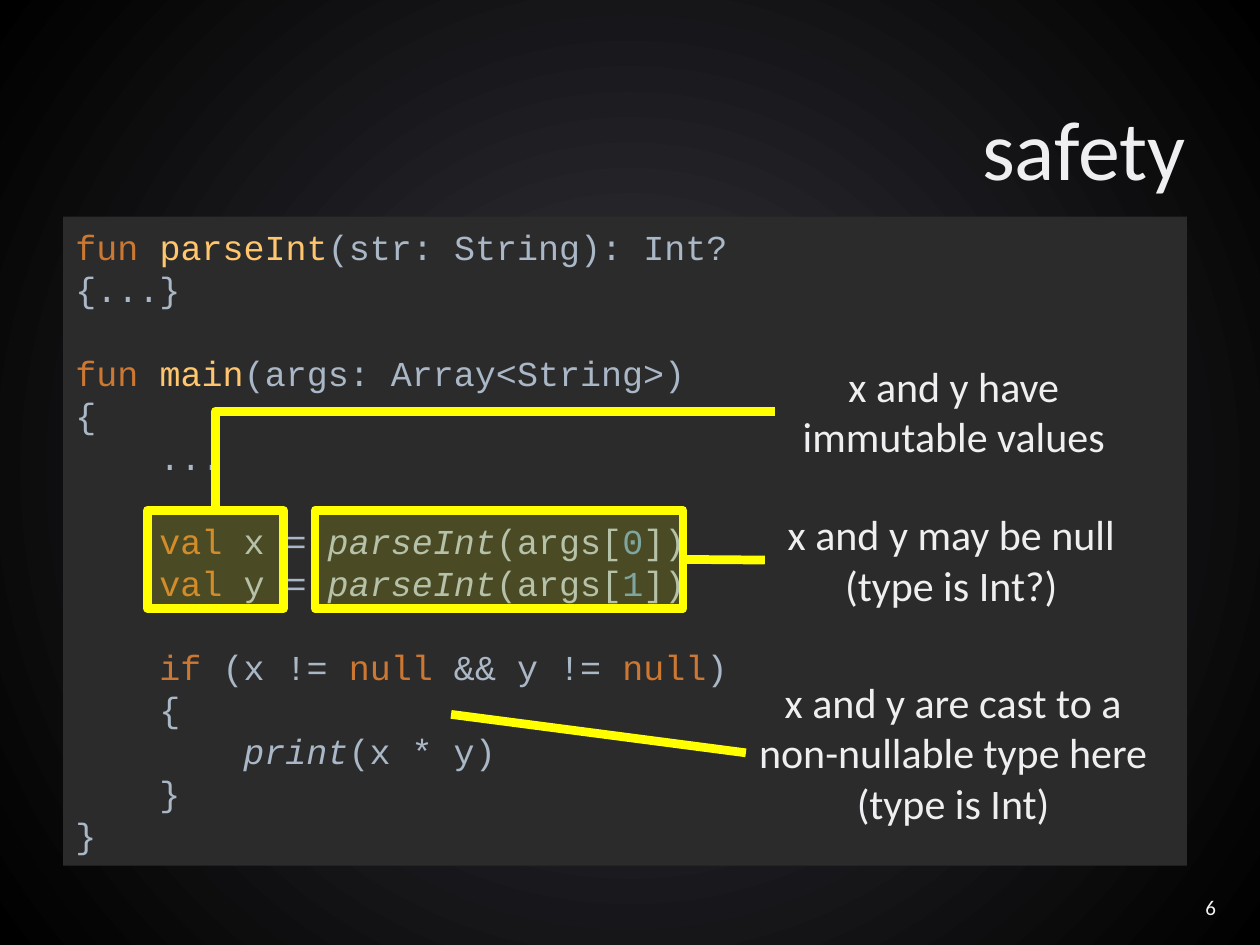
from dataclasses import dataclass

from lxml.etree import SubElement
from pptx import Presentation
from pptx.dml.color import RGBColor
from pptx.enum.shapes import MSO_CONNECTOR, MSO_SHAPE
from pptx.enum.text import MSO_ANCHOR, MSO_AUTO_SIZE, PP_ALIGN
from pptx.oxml.ns import qn
from pptx.util import Inches, Pt

CENTRE_GREY = RGBColor(0x36, 0x36, 0x3E)
BLACK = RGBColor(0x00, 0x00, 0x00)
PANEL = RGBColor(0x2B, 0x2B, 0x2B)
LIGHT = RGBColor(0xEF, 0xEF, 0xF1)
NUMBER_LIGHT = RGBColor(0xF3, 0xF3, 0xF5)
YELLOW = RGBColor(0xFF, 0xFF, 0x00)
CODE_SIZE, CODE_LEADING = 20, 24
INDENT = Pt(4 * 0.6 * CODE_SIZE)  # four monospaced characters


@dataclass(frozen=True)
class Style:
    colour: RGBColor
    italic: bool = False


KEYWORD = Style(RGBColor(0xCC, 0x78, 0x32))
NAME = Style(RGBColor(0xFF, 0xC6, 0x6D))
PLAIN = Style(RGBColor(0xA9, 0xB7, 0xC6))
CALL = Style(PLAIN.colour, italic=True)
NUMBER = Style(RGBColor(0x68, 0x97, 0xBB))


@dataclass(frozen=True)
class CodeLine:
    spans: list
    level: int = 0
    gap_before: bool = False


@dataclass(frozen=True)
class Area:
    left: float
    top: float
    width: float
    height: float

    def lengths(self) -> tuple:
        return tuple(map(Inches, (self.left, self.top, self.width, self.height)))


@dataclass(frozen=True)
class Callout:
    area: Area
    paragraphs: list


def declaration(variable: str, index: str, gap_before: bool) -> CodeLine:
    spans = [("val ", KEYWORD), (f"{variable} = ", PLAIN), ("parseInt", CALL),
             ("(args[", PLAIN), (index, NUMBER), ("])", PLAIN)]
    return CodeLine(spans, 1, gap_before)


CODE = [
    CodeLine([("fun ", KEYWORD), ("parseInt", NAME), ("(str: String): Int?", PLAIN)]),
    CodeLine([("{...}", PLAIN)]),
    CodeLine([("fun ", KEYWORD), ("main", NAME), ("(args: Array<String>)", PLAIN)],
             gap_before=True),
    CodeLine([("{", PLAIN)]),
    CodeLine([("...", PLAIN)], 1),
    declaration("x", "0", True),
    declaration("y", "1", False),
    CodeLine([("if ", KEYWORD), ("(x != ", PLAIN), ("null ", KEYWORD),
              ("&& y != ", PLAIN), ("null", KEYWORD), (")", PLAIN)], 1, True),
    CodeLine([("{", PLAIN)], 1),
    CodeLine([("print", CALL), ("(x * y)", PLAIN)], 2),
    CodeLine([("}", PLAIN)], 1),
    CodeLine([("}", PLAIN)]),
]

CAST = Callout(Area(5.92, 5.32, 3.29, 1.31),
               ["x and y are cast to a\vnon-nullable type here", "(type is Int)"])
NULLABLE = Callout(Area(6.07, 3.99, 2.96, 0.91), ["x and y may be null (type is Int?)"])
IMMUTABLE = Callout(Area(6.15, 2.81, 2.84, 0.91), ["x and y have immutable values"])


def format_text(frame, size: float, colour: RGBColor, align) -> None:
    frame.word_wrap = True
    frame.auto_size = MSO_AUTO_SIZE.NONE
    for para in frame.paragraphs:
        para.alignment = align
        for span in para.runs:
            span.font.name = "Calibri"
            span.font.size = Pt(size)
            span.font.color.rgb = colour


def paint_background(page) -> None:
    fill = page.background.fill
    fill.gradient()
    for stop, colour in zip(fill.gradient_stops, (CENTRE_GREY, BLACK)):
        stop.color.rgb = colour
    # Turn the linear gradient into a circular one
    gradient = page.background._cSld.find(".//" + qn("a:gradFill"))
    gradient.remove(gradient.find(qn("a:lin")))
    circle = SubElement(gradient, qn("a:path"), {"path": "circle"})
    SubElement(circle, qn("a:fillToRect"), dict.fromkeys("ltrb", "50000"))


def add_box(page, area: Area, colour: RGBColor):
    box = page.shapes.add_shape(MSO_SHAPE.RECTANGLE, *area.lengths())
    box.shadow.inherit = False
    box.fill.solid()
    box.fill.fore_color.rgb = colour
    box.line.fill.background()
    return box


def add_code(page, area: Area, lines: list) -> None:
    frame = add_box(page, area, PANEL).text_frame
    frame.word_wrap = True
    frame.vertical_anchor = MSO_ANCHOR.TOP
    frame.margin_top = Inches(0.07)
    for number, line in enumerate(lines):
        para = frame.add_paragraph() if number else frame.paragraphs[0]
        para.alignment = PP_ALIGN.LEFT
        para.line_spacing = Pt(CODE_LEADING)
        para.space_before = Pt(CODE_LEADING if line.gap_before else 0)
        para._p.get_or_add_pPr().set("marL", str(line.level * INDENT))
        for text, style in line.spans:
            span = para.add_run()
            span.text = text
            span.font.name = "Courier New"
            span.font.size = Pt(CODE_SIZE)
            span.font.italic = style.italic
            span.font.color.rgb = style.colour


def add_highlight(page, area: Area):
    box = add_box(page, area, YELLOW)
    colour = box._element.spPr.find(qn("a:solidFill")).find(qn("a:srgbClr"))
    SubElement(colour, qn("a:alpha"), val="15000")
    box.line.color.rgb = YELLOW
    box.line.width = Pt(5)
    return box


def add_callout(page, callout: Callout):
    box = page.shapes.add_textbox(*callout.area.lengths())
    frame = box.text_frame
    frame.margin_left = frame.margin_right = 0
    frame.text = callout.paragraphs[0]
    for text in callout.paragraphs[1:]:
        frame.add_paragraph().text = text
    format_text(frame, 24, LIGHT, PP_ALIGN.CENTER)
    return box


def add_line(page, kind, start: tuple, end: tuple):
    line = page.shapes.add_connector(kind, *map(Inches, start + end))
    line.line.color.rgb = YELLOW
    line.line.width = Pt(5)
    SubElement(line._element.spPr, qn("a:effectLst"))
    return line


def main() -> None:
    deck = Presentation()
    deck.slide_width, deck.slide_height = Inches(10), Inches(7.5)
    page = deck.slides.add_slide(deck.slide_layouts[5])
    paint_background(page)

    # Code panel and title
    add_code(page, Area(0.5, 1.72, 8.92, 5.15), CODE)
    title = page.shapes.title
    title.left, title.top, title.width, title.height = Area(0.51, 0.75, 9, 0.83).lengths()
    title.text_frame.text = "safety"
    title.text_frame.vertical_anchor = MSO_ANCHOR.MIDDLE
    format_text(title.text_frame, 48, LIGHT, PP_ALIGN.RIGHT)

    # Slide number
    number = page.shapes.add_textbox(*Area(9.08, 7, 0.67, 0.4).lengths())
    number.text_frame.text = "6"
    number.text_frame.vertical_anchor = MSO_ANCHOR.MIDDLE
    format_text(number.text_frame, 12, NUMBER_LIGHT, PP_ALIGN.RIGHT)

    # Cast callout
    cast = add_callout(page, CAST)
    line = add_line(page, MSO_CONNECTOR.STRAIGHT, (3.58, 5.67), (5.92, 5.97))
    line.end_connect(cast, 1)

    # Nullable callout
    calls = add_highlight(page, Area(2.5, 4.05, 2.92, 0.78))
    nullable = add_callout(page, NULLABLE)
    line = add_line(page, MSO_CONNECTOR.STRAIGHT, (5.42, 4.44), (6.07, 4.45))
    line.begin_connect(calls, 3)
    line.end_connect(nullable, 1)

    # Immutable callout, joined by a line with a single bend
    values = add_highlight(page, Area(1.17, 4.05, 1.08, 0.78))
    immutable = add_callout(page, IMMUTABLE)
    line = add_line(page, MSO_CONNECTOR.ELBOW, (6.15, 3.26), (1.71, 4.05))
    line._element.spPr.find(qn("a:prstGeom")).set("prst", "bentConnector2")
    line.begin_connect(immutable, 1)
    line.end_connect(values, 0)

    deck.save("out.pptx")


if __name__ == "__main__":
    main()
